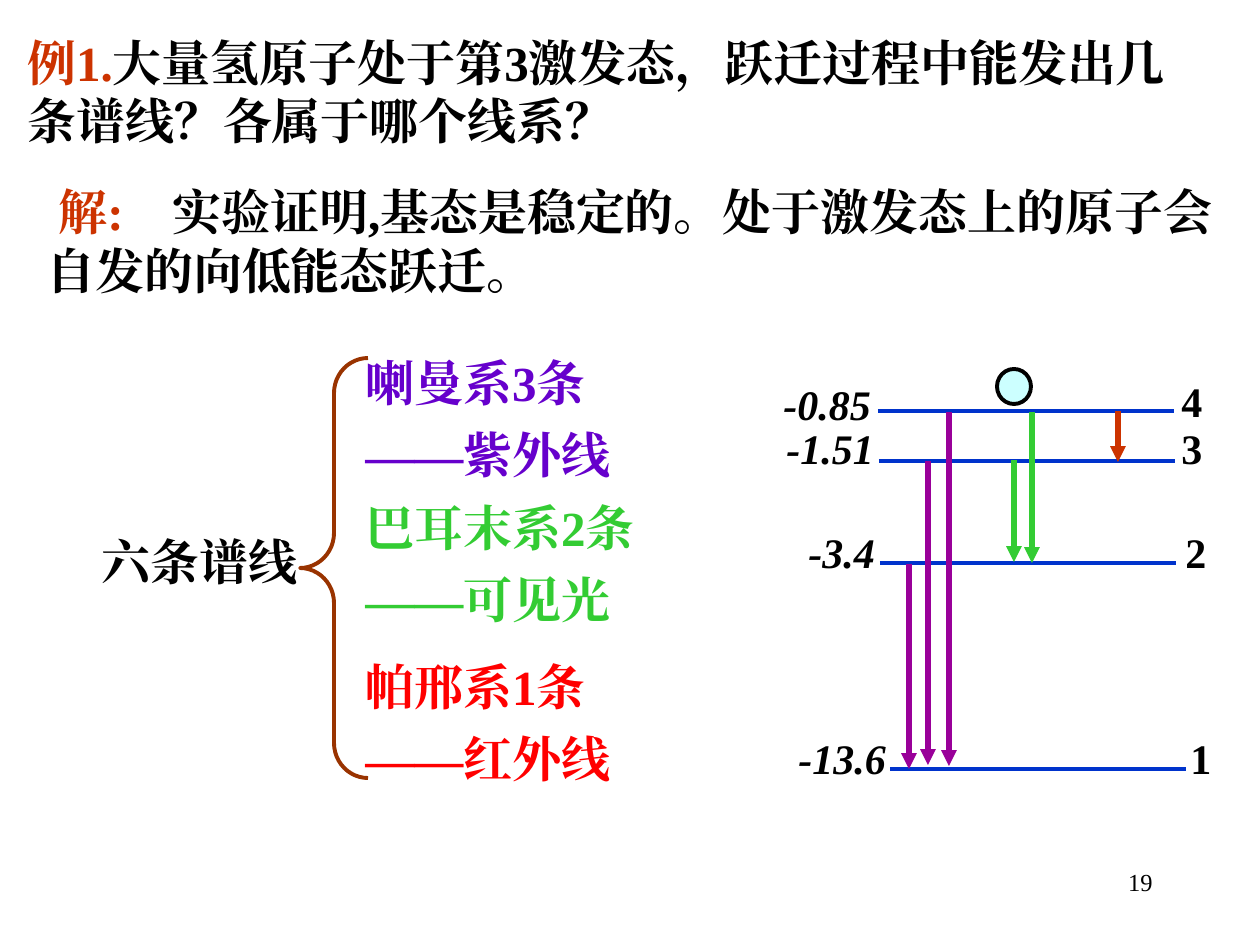
import dataclasses

import lxml.etree
import pptx
import pptx.dml.color
import pptx.enum.lang
import pptx.enum.shapes
import pptx.enum.text
import pptx.oxml.ns
import pptx.util

ALIGN = pptx.enum.text.PP_ALIGN
SHAPE = pptx.enum.shapes.MSO_SHAPE


@dataclasses.dataclass(frozen=True)
class Theme:
    """Colours, font and type sizes of the slide."""
    font: str = "Times New Roman"
    body: int = 28
    label: int = 24
    number: int = 14
    ink: str = "000000"
    heading: str = "CC3300"
    level: str = "0033CC"
    electron: str = "CCFFFF"
    brace: str = "993300"
    ultraviolet: str = "990099"
    lyman: str = "6600CC"
    balmer: str = "33CC33"
    paschen: str = "FF0000"


THEME = Theme()

LEVELS = [
    (890, 769, ("-13.6", 786, 726, 120), ("1", 1178, 726, 38)),
    (880, 563, ("-3.4", 796, 520, 105), ("2", 1173, 520, 38)),
    (879, 461, ("-1.51", 774, 416, 117), ("3", 1169, 416, 43)),
    (878, 411, ("-0.85", 771, 372, 117), ("4", 1169, 369, 43)),
]
TRANSITIONS = [
    (909, 564, 769, THEME.ultraviolet),
    (928, 461, 765, THEME.ultraviolet),
    (949, 412, 766, THEME.ultraviolet),
    (1032, 412, 563, THEME.balmer),
    (1014, 460, 562, THEME.balmer),
    (1118, 411, 462, THEME.heading),
]
SERIES = [
    (358, ["喇曼系3条", "——紫外线"], THEME.lyman),
    (503, ["巴耳末系2条", "——可见光"], THEME.balmer),
    (662, ["帕邢系1条", "——红外线"], THEME.paschen),
]


def px(length):
    """Turn pixels into EMU at 126 pixels to the inch."""
    return pptx.util.Emu(round(length * 914400 / 126))


def rgb(colour):
    """Return the colour object for a hexadecimal string."""
    return pptx.dml.color.RGBColor.from_string(colour)


def add_span(para, text, size=THEME.body, colour=THEME.ink, bold=True, italic=False):
    """Append one formatted run to a paragraph."""
    span = para.add_run()
    span.text = text
    font = span.font
    font.name = THEME.font
    font.size = pptx.util.Pt(size)
    font.bold = bold
    font.italic = italic
    font.color.rgb = rgb(colour)
    font.language_id = pptx.enum.lang.MSO_LANGUAGE_ID.SIMPLIFIED_CHINESE
    east_asian = lxml.etree.SubElement(span._r.get_or_add_rPr(), pptx.oxml.ns.qn("a:ea"))
    east_asian.set("typeface", THEME.font)


def add_text(shapes, left, top, width, height, paras, align=ALIGN.LEFT, spacing=None, **style):
    """Add a text box; each paragraph is a list of (text, colour) spans."""
    box = shapes.add_textbox(px(left), px(top), px(width), px(height))
    frame = box.text_frame
    frame.word_wrap = True
    for index, spans in enumerate(paras):
        para = frame.add_paragraph() if index else frame.paragraphs[0]
        para.alignment = align
        if spacing:
            para.line_spacing = spacing
        if index:
            para.space_before = pptx.util.Pt(THEME.body / 2)
        for text, colour in spans:
            add_span(para, text, colour=colour, **style)
    return box


def indent_answer(para, indent, stop):
    """Indent the first line and set the tab stop after its heading."""
    properties = para._p.get_or_add_pPr()
    properties.set("indent", str(px(indent)))
    stops = lxml.etree.SubElement(properties, pptx.oxml.ns.qn("a:tabLst"))
    tab = lxml.etree.SubElement(stops, pptx.oxml.ns.qn("a:tab"))
    tab.set("pos", str(px(stop)))
    tab.set("algn", "l")


def add_line(shapes, start, end, colour, weight, arrow=False):
    """Add a straight line, with an arrowhead at its end if wanted."""
    line = shapes.add_connector(
        pptx.enum.shapes.MSO_CONNECTOR.STRAIGHT, *map(px, start + end))
    line.line.color.rgb = rgb(colour)
    line.line.width = pptx.util.Pt(weight)
    if arrow:
        head = lxml.etree.SubElement(line.line._get_or_add_ln(), pptx.oxml.ns.qn("a:tailEnd"))
        head.set("type", "triangle")
    lxml.etree.SubElement(line._element.spPr, pptx.oxml.ns.qn("a:effectLst"))


def add_outline(shapes, kind, left, top, width, height, colour, fill=None):
    """Add an outlined preset shape, filled only when a fill is given."""
    shape = shapes.add_shape(kind, px(left), px(top), px(width), px(height))
    shape.shadow.inherit = False
    shape.line.color.rgb = rgb(colour)
    shape.line.width = pptx.util.Pt(2.25)
    if fill:
        shape.fill.solid()
        shape.fill.fore_color.rgb = rgb(fill)
    else:
        shape.fill.background()
    return shape


def add_levels(page):
    """Add the grouped energy levels with their labels and the electron."""
    shapes = page.shapes.add_group_shape().shapes
    for left, y, energy, number in LEVELS:
        add_line(shapes, (left, y), (left + 296, y), THEME.level, 2.25)
        for (text, x, top, width), italic in ((energy, True), (number, False)):
            add_text(shapes, x, top, width, 63, [[(text, THEME.ink)]],
                     size=THEME.label, italic=italic)
    add_outline(shapes, SHAPE.OVAL, 997, 369, 34, 35, THEME.ink, THEME.electron)


def add_series(page):
    """Add the brace with the spectral series beside it."""
    add_text(page.shapes, 89, 525, 256, 72, [[("六条谱线", THEME.ink)]])
    brace = add_outline(page.shapes, SHAPE.LEFT_BRACE, 300, 358, 68, 420, THEME.brace)
    brace.adjustments[0] = 0.515
    brace.adjustments[1] = 0.5
    for top, lines, colour in SERIES:
        add_text(page.shapes, 353, top, 338, 136,
                 [[(line, colour)] for line in lines], spacing=0.8)


def main():
    """Build the slide and save it."""
    deck = pptx.Presentation()
    deck.slide_width, deck.slide_height = px(1260), px(945)
    page = deck.slides.add_slide(deck.slide_layouts[6])
    add_text(page.shapes, 903, 861, 262, 63, [[("19", THEME.ink)]],
             align=ALIGN.RIGHT, size=THEME.number, bold=False)
    add_text(page.shapes, 15, 26, 1211, 130, [[
        ("例1.", THEME.heading),
        ("大量氢原子处于第3激发态，跃迁过程中能发出几条谱线？各属于哪个线系？", THEME.ink)]])
    answer = add_text(page.shapes, 34, 175, 1226, 189, [[
        ("解:\t", THEME.heading),
        ("实验证明,基态是稳定的。处于激发态上的原子会自发的向低能态跃迁。", THEME.ink)]])
    indent_answer(answer.text_frame.paragraphs[0], 12, 126)
    add_levels(page)
    for x, top, bottom, colour in TRANSITIONS:
        add_line(page.shapes, (x, top), (x, bottom), colour, 3, arrow=True)
    add_series(page)
    deck.save("out.pptx")


if __name__ == "__main__":
    main()
